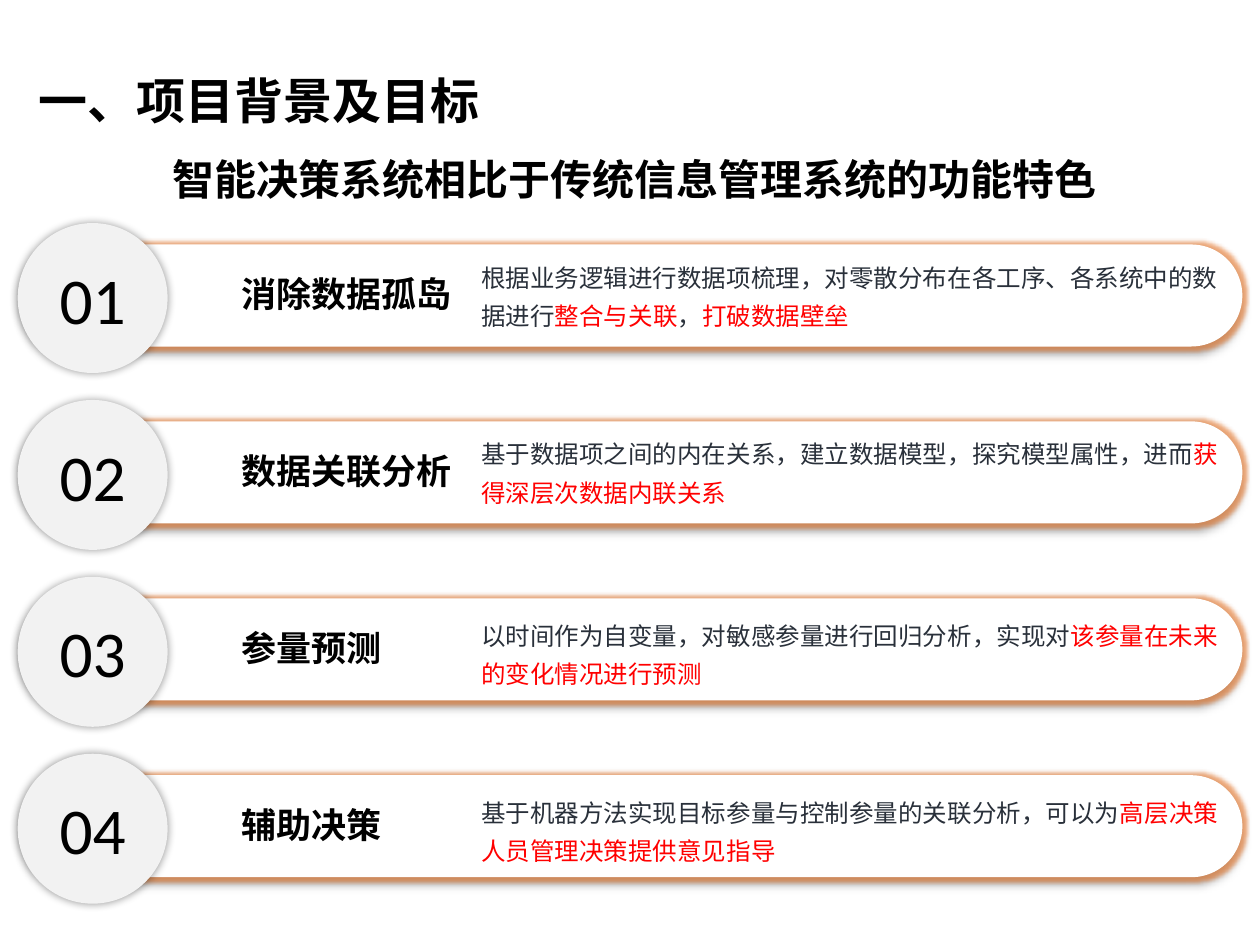
"""Build a slide listing four features of a decision system as numbered bars."""
from dataclasses import dataclass

from lxml import etree
from pptx import Presentation
from pptx import util as u
from pptx.dml.color import RGBColor
from pptx.enum import shapes, text
from pptx.oxml import ns

BLACK = RGBColor(0x00, 0x00, 0x00)
WHITE = RGBColor(0xFF, 0xFF, 0xFF)
PALE = RGBColor(0xF2, 0xF2, 0xF2)
SLATE = RGBColor(0x29, 0x30, 0x3A)
RED = RGBColor(0xFF, 0x00, 0x00)
ORANGE = RGBColor(0xED, 0x7D, 0x31)

WIDTH, HEIGHT = u.Inches(10), u.Inches(7.5)
HAN, LATIN = "Noto Sans CJK SC", "Calibri"
TOP, PITCH = 23.6, 18.72
MID = text.MSO_ANCHOR.MIDDLE
CENTER = text.PP_ALIGN.CENTER


@dataclass(frozen=True)
class Area:
    """Place and size in percent of the slide."""
    x: float
    y: float
    w: float
    h: float

    def emu(self) -> tuple[int, ...]:
        """Return left, top, width and height as lengths."""
        sides = (WIDTH, HEIGHT, WIDTH, HEIGHT)
        shares = (self.x, self.y, self.w, self.h)
        return tuple(round(a * b / 100) for a, b in zip(sides, shares))


@dataclass(frozen=True)
class Style:
    """Look of one paragraph."""
    size: float
    face: str = HAN
    bold: bool = False
    align: text.PP_ALIGN = text.PP_ALIGN.LEFT
    space: float = 1.0


@dataclass(frozen=True)
class Item:
    """One feature: heading, coloured pieces of detail, and detail offset."""
    head: str
    detail: tuple[tuple[str, RGBColor], ...]
    drop: float


HEAD = Style(20, LATIN, bold=True)
BODY = Style(14, space=1.3)
NUMBER = Style(37.3, LATIN, align=CENTER)

ITEMS = (
    Item("消除数据孤岛", (
        ("根据业务逻辑进行数据项梳理，对零散分布在各工序、各系统中的数据进行", SLATE),
        ("整合与关联", RED), ("，", SLATE), ("打破数据壁垒", RED)), 2.6),
    Item("数据关联分析", (
        ("基于数据项之间的内在关系，建立数据模型，探究模型属性，进而", SLATE),
        ("获得深层次数据内联关系", RED)), 2.6),
    Item("参量预测", (
        ("以时间作为自变量，对敏感参量进行回归分析，实现对", SLATE),
        ("该参量在未来的变化情况进行预测", RED)), 3.07),
    Item("辅助决策", (
        ("基于机器方法实现目标参量与控制参量的关联分析，可以为", SLATE),
        ("高层决策人员管理决策提供意见指导", RED)), 3.07),
)


def write(shape, words, style: Style, anchor=text.MSO_ANCHOR.TOP) -> None:
    """Fill a shape with one paragraph of coloured pieces."""
    frame = shape.text_frame
    frame.word_wrap = True
    frame.vertical_anchor = anchor
    para = frame.paragraphs[0]
    para.alignment, para.line_spacing = style.align, style.space
    font = para.font
    font.size, font.bold, font.name = u.Pt(style.size), style.bold, style.face
    base = para._p.pPr.find(ns.qn("a:defRPr"))
    etree.SubElement(base, ns.qn("a:ea"), typeface=HAN)
    for piece, color in words:
        run = para.add_run()
        run.text = piece
        run.font.color.rgb = color


def label(slide, area: Area, words, style: Style, anchor=text.MSO_ANCHOR.TOP) -> None:
    """Add a text box."""
    write(slide.shapes.add_textbox(*area.emu()), words, style, anchor)


def tint(parent, color: RGBColor, alpha: int) -> None:
    """Add a see-through colour to an effect, alpha in percent."""
    node = etree.SubElement(parent, ns.qn("a:srgbClr"), val=str(color))
    etree.SubElement(node, ns.qn("a:alpha"), val=str(alpha * 1000))


def shade(shape, blur: float, dist: float, angle: int, glow: float = 0) -> None:
    """Give a shape a soft shadow and, if asked, an orange glow."""
    shape.shadow.inherit = False
    root = shape._element.spPr.find(ns.qn("a:effectLst"))
    if glow:
        tint(etree.SubElement(root, ns.qn("a:glow"), rad=str(u.Pt(glow))), ORANGE, 60)
    cast = etree.SubElement(
        root, ns.qn("a:outerShdw"), blurRad=str(u.Pt(blur)), dist=str(u.Pt(dist)),
        dir=str(angle * 60000), algn="ctr", rotWithShape="0")
    tint(cast, BLACK, 40)


def plate(slide, kind, area: Area, fill: RGBColor):
    """Add a filled shape without an outline."""
    shape = slide.shapes.add_shape(kind, *area.emu())
    shape.fill.solid()
    shape.fill.fore_color.rgb = fill
    shape.line.fill.background()
    return shape


def row(slide, rank: int, item: Item) -> None:
    """Draw one numbered bar."""
    top = TOP + rank * PITCH
    bar = plate(slide, shapes.MSO_SHAPE.ROUNDED_RECTANGLE,
                Area(2.1, top + 2.27, 96.5, 10.8), WHITE)
    bar.adjustments[0] = 0.5
    shade(bar, 4, 3, 135, glow=4)
    label(slide, Area(37.2, top + item.drop, 61.2, 9.47), item.detail, BODY)
    label(slide, Area(18.2, top + 4.6, 19.7, 5.87), ((item.head, BLACK),), HEAD)
    disc = plate(slide, shapes.MSO_SHAPE.OVAL, Area(1.4, top, 11.9, 15.87), PALE)
    shade(disc, 5, 0, 0)
    write(disc, ((f"{rank + 1:02}", BLACK),), NUMBER, MID)


def main() -> None:
    """Build and save the slide."""
    deck = Presentation()
    deck.slide_width, deck.slide_height = WIDTH, HEIGHT
    slide = deck.slides.add_slide(deck.slide_layouts[6])
    label(slide, Area(2.1, 3.73, 96.5, 11.2), (("一、项目背景及目标", BLACK),),
          Style(28, bold=True, space=1.4), MID)
    for rank, item in enumerate(ITEMS):
        row(slide, rank, item)
    label(slide, Area(12.5, 15.6, 75.7, 6.67),
          (("智能决策系统相比于传统信息管理系统的功能特色", BLACK),),
          Style(24, bold=True, align=CENTER))
    deck.save("out.pptx")


if __name__ == "__main__":
    main()
